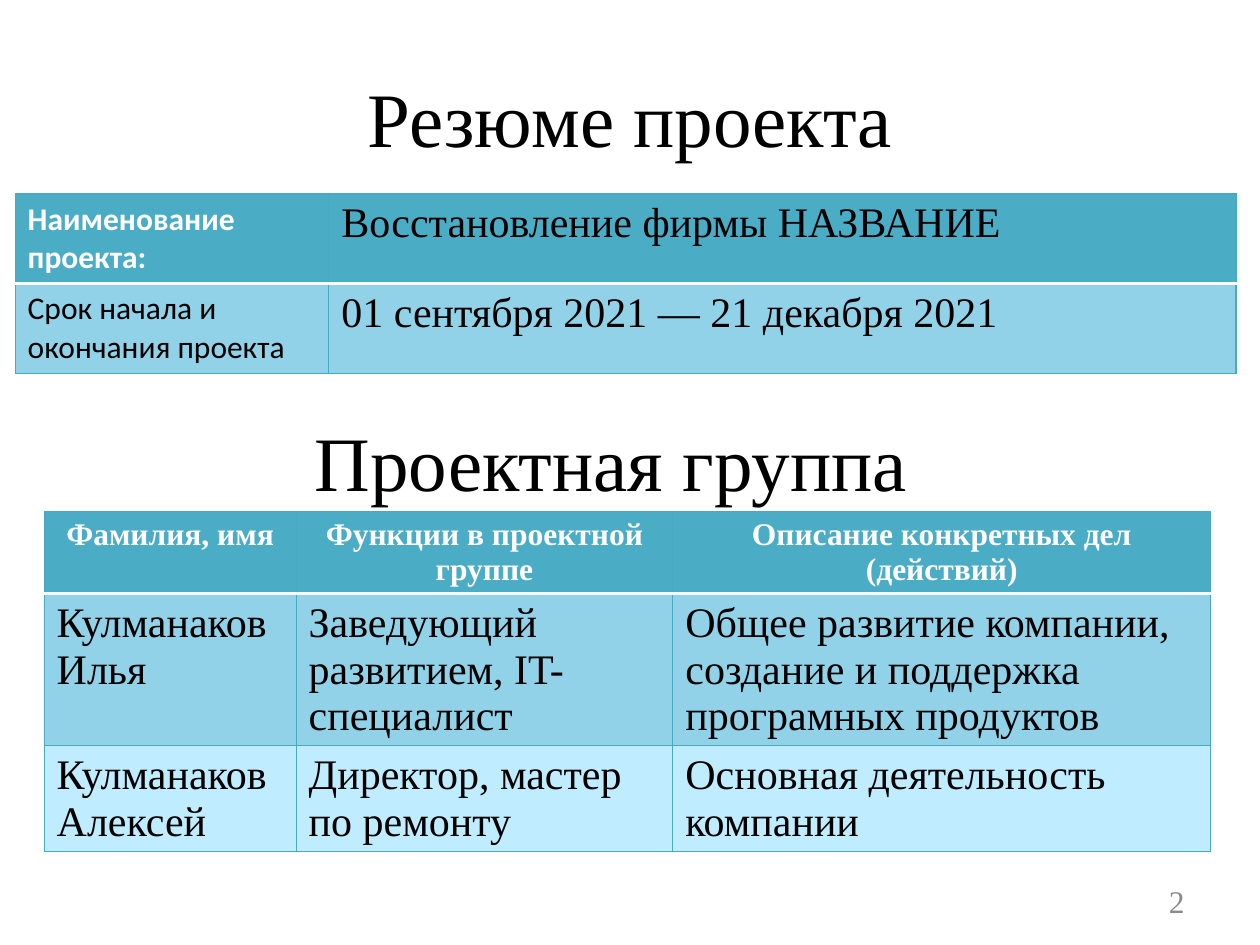
"""Build a project summary slide with a details table and a team table."""
from dataclasses import dataclass

from lxml import etree
from pptx import Presentation
from pptx.dml.color import RGBColor
from pptx.enum.text import MSO_ANCHOR, MSO_AUTO_SIZE, PP_ALIGN
from pptx.oxml.ns import qn
from pptx.util import Inches, Pt

LEFT, CENTER, RIGHT = PP_ALIGN.LEFT, PP_ALIGN.CENTER, PP_ALIGN.RIGHT
MIDDLE = MSO_ANCHOR.MIDDLE
NO_AUTOFIT = MSO_AUTO_SIZE.NONE
TITLE_ONLY = 5


@dataclass(frozen=True)
class Theme:
    serif: str = "Times New Roman"
    sans: str = "Calibri"
    black: str = "000000"
    white: str = "FFFFFF"
    gray: str = "8B8B8B"
    border: str = "46AAC4"
    bands: tuple = ("4BACC6", "91D2E8", "BFECFF")
    heading: int = 44
    body: int = 24
    label: int = 18
    thin: float = 0.75
    thick: float = 1.98


theme = Theme()


def write(frame, text, *, size=theme.body, font=theme.serif, color=theme.black,
          bold=False, align=LEFT):
    frame.word_wrap = True
    para = frame.paragraphs[0]
    para.alignment = align
    span = para.add_run()
    span.text = text
    span.font.name = font
    span.font.size = Pt(size)
    span.font.bold = bold
    span.font.color.rgb = RGBColor.from_string(color)


def add_border(cell, side, color, width):
    line = etree.SubElement(cell._tc.get_or_add_tcPr(), qn(f"a:ln{side}"), w=str(Pt(width)))
    fill = etree.SubElement(line, qn("a:solidFill"))
    etree.SubElement(fill, qn("a:srgbClr"), val=color)


deck = Presentation()
deck.slide_width, deck.slide_height = Inches(10), Inches(7.5)
page = deck.slides.add_slide(deck.slide_layouts[TITLE_ONLY])

title = page.shapes.title
title.left, title.top = Inches(0.5), Inches(0.3)
title.width, title.height = Inches(9), Inches(1.25)
team_heading = page.shapes.add_textbox(Inches(0.35), Inches(3.35), Inches(9), Inches(0.62))
page_number = page.shapes.add_textbox(Inches(7.17), Inches(6.95), Inches(2.33), Inches(0.4))

for box, text, style in (
    (title, "Резюме проекта", dict(size=theme.heading, align=CENTER)),
    (team_heading, "Проектная группа", dict(size=theme.heading, align=CENTER)),
    (page_number, "2", dict(size=theme.label, color=theme.gray, align=RIGHT)),
):
    box.text_frame.auto_size = NO_AUTOFIT
    box.text_frame.vertical_anchor = MIDDLE
    write(box.text_frame, text, **style)

value = dict()
member_header = dict(size=theme.label, color=theme.white, bold=True, align=CENTER)
name_label = dict(size=theme.label, font=theme.sans, color=theme.white, bold=True)
date_label = dict(size=theme.label, font=theme.sans)

summary = [
    [("Наименование проекта:", name_label), ("Восстановление фирмы НАЗВАНИЕ", value)],
    [("Срок начала и окончания проекта", date_label),
     ("01 сентября 2021 — 21 декабря 2021", value)],
]
team_texts = [
    ["Фамилия, имя", "Функции в проектной группе", "Описание конкретных дел (действий)"],
    ["Кулманаков Илья", "Заведующий развитием, IT-специалист",
     "Общее развитие компании, создание и поддержка програмных продуктов"],
    ["Кулманаков Алексей", "Директор, мастер по ремонту", "Основная деятельность компании"],
]
team = [[(text, value if row else member_header) for text in texts]
        for row, texts in enumerate(team_texts)]

for content, left, top, widths, heights in (
    (summary, 0.12, 1.54, (2.49, 7.2), (0.71, 0.63)),
    (team, 0.35, 4.06, (2, 2.99, 4.27), (0.65, 0.74, 0.59)),
):
    table = page.shapes.add_table(
        len(heights), len(widths), Inches(left), Inches(top),
        Inches(sum(widths)), Inches(sum(heights))).table
    for column, width in zip(table.columns, widths):
        column.width = Inches(width)
    for row, height in zip(table.rows, heights):
        row.height = Inches(height)
    for row_index, entries in enumerate(content):
        for column_index, (text, style) in enumerate(entries):
            cell = table.cell(row_index, column_index)
            write(cell.text_frame, text, **style)
            for side in "LRTB":
                if (row_index, side) in ((0, "B"), (1, "T")):
                    add_border(cell, side, theme.white, theme.thick)
                else:
                    add_border(cell, side, theme.border, theme.thin)
            cell.fill.solid()
            cell.fill.fore_color.rgb = RGBColor.from_string(theme.bands[row_index])

deck.save("out.pptx")
